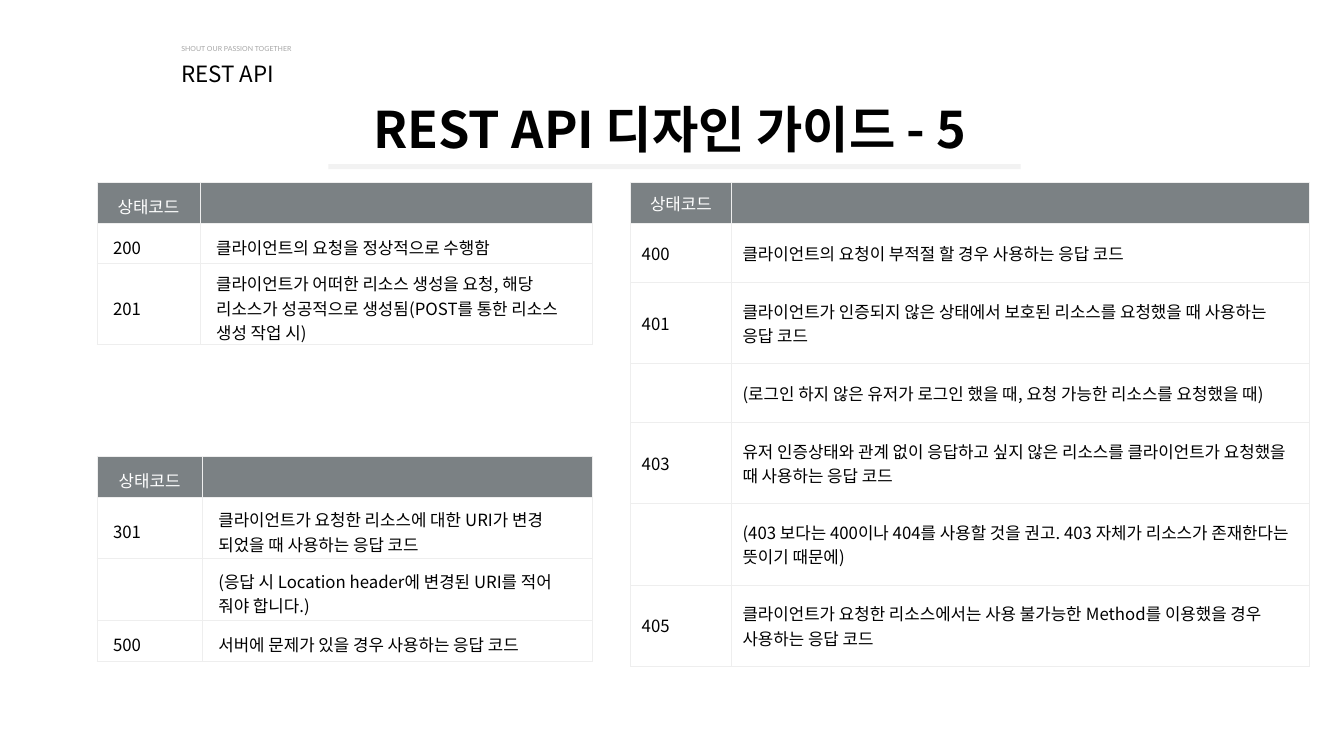
from pptx import Presentation
from pptx.dml.color import RGBColor
from pptx.enum.shapes import MSO_SHAPE
from pptx.enum.text import MSO_ANCHOR, PP_ALIGN
from pptx.oxml import parse_xml
from pptx.oxml.ns import nsdecls
from pptx.util import Pt

LEFT, CENTER, JUSTIFY = PP_ALIGN.LEFT, PP_ALIGN.CENTER, PP_ALIGN.JUSTIFY
MIDDLE = MSO_ANCHOR.MIDDLE
RECTANGLE = MSO_SHAPE.RECTANGLE
FONT = "Noto Sans CJK KR"
COLORS = {
    "black": "000000",
    "white": "FFFFFF",
    "caption": "A6A6A6",
    "rule": "F2F2F2",
    "header": "7B8184",
    "border": "EEEEEE",
}
HEADER = ("상태코드", "")
SUCCESS_ROWS = [
    HEADER,
    ("200", "클라이언트의 요청을 정상적으로 수행함"),
    ("201", "클라이언트가 어떠한 리소스 생성을 요청, 해당 리소스가 성공적으로 "
            "생성됨(POST를 통한 리소스 생성 작업 시)"),
]
CLIENT_ERROR_ROWS = [
    HEADER,
    ("400", "클라이언트의 요청이 부적절 할 경우 사용하는 응답 코드"),
    ("401", "클라이언트가 인증되지 않은 상태에서 보호된 리소스를 요청했을 때 "
            "사용하는 응답 코드"),
    ("", "(로그인 하지 않은 유저가 로그인 했을 때, 요청 가능한 리소스를 요청했을 때)"),
    ("403", "유저 인증상태와 관계 없이 응답하고 싶지 않은 리소스를 클라이언트가 "
            "요청했을 때 사용하는 응답 코드"),
    ("", "(403 보다는 400이나 404를 사용할 것을 권고. 403 자체가 리소스가 "
         "존재한다는 뜻이기 때문에)"),
    ("405", "클라이언트가 요청한 리소스에서는 사용 불가능한 Method를 이용했을 경우 "
            "사용하는 응답 코드"),
]
REDIRECT_ROWS = [
    HEADER,
    ("301", "클라이언트가 요청한 리소스에 대한 URI가 변경 되었을 때 사용하는 응답 코드"),
    ("", "(응답 시 Location header에 변경된 URI를 적어 줘야 합니다.)"),
    ("500", "서버에 문제가 있을 경우 사용하는 응답 코드"),
]


def color(name):
    return RGBColor.from_string(COLORS[name])


def write_text(frame, text, *, size=12, font=FONT, color_name="black",
               bold=False, align=LEFT):
    paragraph = frame.paragraphs[0]
    paragraph.alignment = align
    run = paragraph.add_run()
    run.text = text
    run.font.size = Pt(size)
    run.font.bold = bold
    run.font.name = font
    run.font.color.rgb = color(color_name)
    east_asian = parse_xml(f'<a:ea {nsdecls("a")} typeface="{font}"/>')
    run.font._element.append(east_asian)


def add_text(slide, text, left, top, width, height, **text_format):
    frame = slide.shapes.add_textbox(
        Pt(left), Pt(top), Pt(width), Pt(height)).text_frame
    frame.word_wrap = True
    write_text(frame, text, **text_format)


def add_rule(slide, left, top, width, height):
    rule = slide.shapes.add_shape(
        RECTANGLE, Pt(left), Pt(top), Pt(width), Pt(height))
    rule.shadow.inherit = False
    rule.fill.solid()
    rule.fill.fore_color.rgb = color("rule")
    rule.line.fill.background()


def add_borders(cell):
    """Put the four side lines before the fill, as the schema requires."""
    properties = cell._tc.get_or_add_tcPr()
    for index, side in enumerate(("lnL", "lnR", "lnT", "lnB")):
        properties.insert(index, parse_xml(
            f'<a:{side} {nsdecls("a")} w="{Pt(0.75)}"><a:solidFill>'
            f'<a:srgbClr val="{COLORS["border"]}"/></a:solidFill></a:{side}>'))


def fill_cell(cell, text, is_header, side_inset, top_inset, bottom_inset):
    cell.vertical_anchor = MIDDLE
    cell.margin_left = cell.margin_right = Pt(side_inset)
    cell.margin_top, cell.margin_bottom = Pt(top_inset), Pt(bottom_inset)
    if is_header:
        cell.fill.solid()
        cell.fill.fore_color.rgb = color("header")
        write_text(cell.text_frame, text, color_name="white", align=CENTER)
    else:
        cell.fill.background()
        write_text(cell.text_frame, text)
    add_borders(cell)


def add_status_table(slide, rows, left, top, widths, heights, insets):
    """Insets are given as side, top and bottom."""
    table = slide.shapes.add_table(
        len(rows), len(widths), Pt(left), Pt(top),
        Pt(sum(widths)), Pt(sum(heights))).table
    table.first_row = table.horz_banding = False
    for column, width in zip(table.columns, widths):
        column.width = Pt(width)
    for row, height in zip(table.rows, heights):
        row.height = Pt(height)
    for row_index, texts in enumerate(rows):
        for column_index, text in enumerate(texts):
            fill_cell(table.cell(row_index, column_index), text,
                      row_index == 0, *insets)


def main():
    presentation = Presentation()
    presentation.slide_width, presentation.slide_height = Pt(960), Pt(540)
    slide = presentation.slides.add_slide(presentation.slide_layouts[6])

    add_text(slide, "SHOUT OUR PASSION TOGETHER", 122.4, 28.5, 140, 13.5,
             size=5, font="Lato", color_name="caption", align=JUSTIFY)
    add_text(slide, "REST API", 122.4, 39.6, 130, 26.6, size=16)
    add_text(slide, "REST API 디자인 가이드 - 5", 231, 66.2, 495, 51,
             size=36, bold=True, align=CENTER)
    add_rule(slide, 234.5, 117.2, 494.5, 3.6)

    left_insets, right_insets = (11.5, 5, 0), (8, 4, 4)
    add_status_table(slide, SUCCESS_ROWS, 69.3, 130.3, (73.6, 280.6),
                     (29, 29, 58), left_insets)
    add_status_table(slide, CLIENT_ERROR_ROWS, 450.4, 130.3, (72, 412.6),
                     (26.5, 42, 58, 42, 58, 58, 58), right_insets)
    add_status_table(slide, REDIRECT_ROWS, 69.3, 326.2, (75.2, 279),
                     (29, 44, 44, 29), left_insets)
    presentation.save("out.pptx")


if __name__ == "__main__":
    main()
